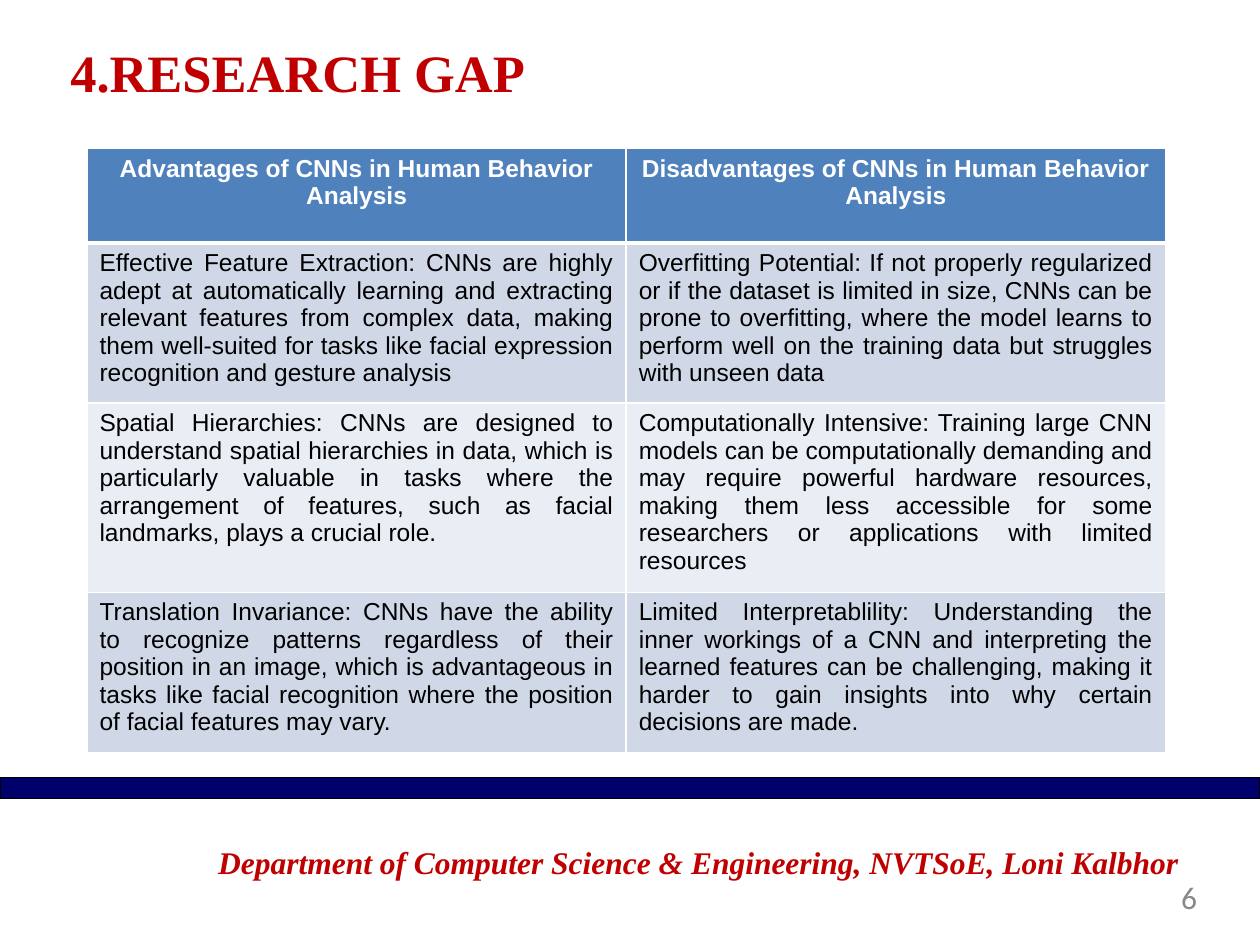
from lxml import etree
from pptx import Presentation
from pptx.dml.color import RGBColor
from pptx.enum.shapes import MSO_SHAPE
from pptx.enum.text import MSO_ANCHOR, PP_ALIGN
from pptx.oxml.ns import qn
from pptx.util import Inches, Pt

LEFT, CENTER, RIGHT, JUSTIFY = PP_ALIGN.LEFT, PP_ALIGN.CENTER, PP_ALIGN.RIGHT, PP_ALIGN.JUSTIFY
TOP, MIDDLE = MSO_ANCHOR.TOP, MSO_ANCHOR.MIDDLE
RED, NAVY, BLACK, WHITE, GREY = "C00000", "00006C", "000000", "FFFFFF", "888888"
HEADER_FILL, BAND_FILLS = "4F81BD", ("D0D8E8", "E9EDF4")
SERIF = "Times New Roman"

TITLE = "4.RESEARCH GAP"
FOOTER = "Department of Computer Science & Engineering, NVTSoE, Loni Kalbhor"
PAGE = "6"
ROWS = [
    ("Advantages of CNNs in Human Behavior Analysis",
     "Disadvantages of CNNs in Human Behavior Analysis"),
    ("Effective Feature Extraction: CNNs are highly adept at automatically learning and extracting "
     "relevant features from complex data, making them well-suited for tasks like facial expression "
     "recognition and gesture analysis",
     "Overfitting Potential: If not properly regularized or if the dataset is limited in size, CNNs "
     "can be prone to overfitting, where the model learns to perform well on the training data but "
     "struggles with unseen data"),
    ("Spatial Hierarchies: CNNs are designed to understand spatial hierarchies in data, which is "
     "particularly valuable in tasks where the arrangement of features, such as facial landmarks, "
     "plays a crucial role.",
     "Computationally Intensive: Training large CNN models can be computationally demanding and may "
     "require powerful hardware resources, making them less accessible for some researchers or "
     "applications with limited resources"),
    ("Translation Invariance: CNNs have the ability to recognize patterns regardless of their "
     "position in an image, which is advantageous in tasks like facial recognition where the "
     "position of facial features may vary.",
     "Limited Interpretablility: Understanding the inner workings of a CNN and interpreting the "
     "learned features can be challenging, making it harder to gain insights into why certain "
     "decisions are made."),
]
ROW_HEIGHTS = (0.75, 1.27, 1.49, 1.27)
TABLE_LEFT, TABLE_TOP, COL_WIDTH = 0.69, 1.18, 4.28


def rgb(value):
    return RGBColor.from_string(value)


def write(tf, text, size, font, color, align, bold=False, italic=False):
    p = tf.paragraphs[0]
    p.text = text
    p.alignment = align
    f = p.font
    f.size, f.name, f.bold, f.italic = Pt(size), font, bold, italic
    f.color.rgb = rgb(color)


def add_text(slide, box, text, size, font, color, align, margins=(0, 0), anchor=TOP, **style):
    tf = slide.shapes.add_textbox(*map(Inches, box)).text_frame
    tf.word_wrap = True
    tf.vertical_anchor = anchor
    tf.margin_left = tf.margin_right = Inches(margins[0])
    tf.margin_top = tf.margin_bottom = Inches(margins[1])
    write(tf, text, size, font, color, align, **style)


def set_borders(cell, widths):
    tc_pr = cell._tc.get_or_add_tcPr()
    for i, (side, width) in enumerate(widths.items()):
        ln = etree.Element(qn(f"a:ln{side}"), w=str(Pt(width)))
        fill = etree.SubElement(ln, qn("a:solidFill"))
        etree.SubElement(fill, qn("a:srgbClr"), val=WHITE)
        tc_pr.insert(i, ln)


def add_bar(slide):
    s = slide.shapes.add_shape(MSO_SHAPE.RECTANGLE, 0, Inches(6.17), Inches(10), Inches(0.17))
    s.shadow.inherit = False
    s.fill.solid()
    s.fill.fore_color.rgb = rgb(NAVY)
    s.line.color.rgb = rgb(BLACK)
    s.line.width = Pt(0.75)


def add_comparison(slide):
    cols = len(ROWS[0])
    table = slide.shapes.add_table(
        len(ROWS), cols, Inches(TABLE_LEFT), Inches(TABLE_TOP),
        Inches(COL_WIDTH * cols), Inches(sum(ROW_HEIGHTS))).table
    for col in table.columns:
        col.width = Inches(COL_WIDTH)
    for i, (texts, height) in enumerate(zip(ROWS, ROW_HEIGHTS)):
        table.rows[i].height = Inches(height)
        header = i == 0
        for j, text in enumerate(texts):
            cell = table.cell(i, j)
            cell.fill.solid()
            cell.fill.fore_color.rgb = rgb(HEADER_FILL if header else BAND_FILLS[(i - 1) % 2])
            write(cell.text_frame, text, 14, "Arial", WHITE if header else BLACK,
                  CENTER if header else JUSTIFY, bold=header)
            set_borders(cell, {"L": 1, "R": 1, "T": 3 if i == 1 else 1, "B": 3 if header else 1})


def main():
    prs = Presentation()
    prs.slide_width, prs.slide_height = Inches(10), Inches(7.5)
    slide = prs.slides.add_slide(prs.slide_layouts[6])
    add_bar(slide)
    add_text(slide, (7.2, 6.97, 2.3, 0.38), PAGE, 18, "Calibri", GREY, RIGHT)
    add_text(slide, (0.46, 0.25, 8.76, 0.63), TITLE, 30, SERIF, RED, LEFT,
             margins=(0.1, 0.05), anchor=MIDDLE, bold=True)
    add_text(slide, (1.51, 6.68, 8.07, 0.74), FOOTER, 18, SERIF, RED, CENTER,
             margins=(0, 0.01), bold=True, italic=True)
    add_comparison(slide)
    prs.save("out.pptx")


if __name__ == "__main__":
    main()
